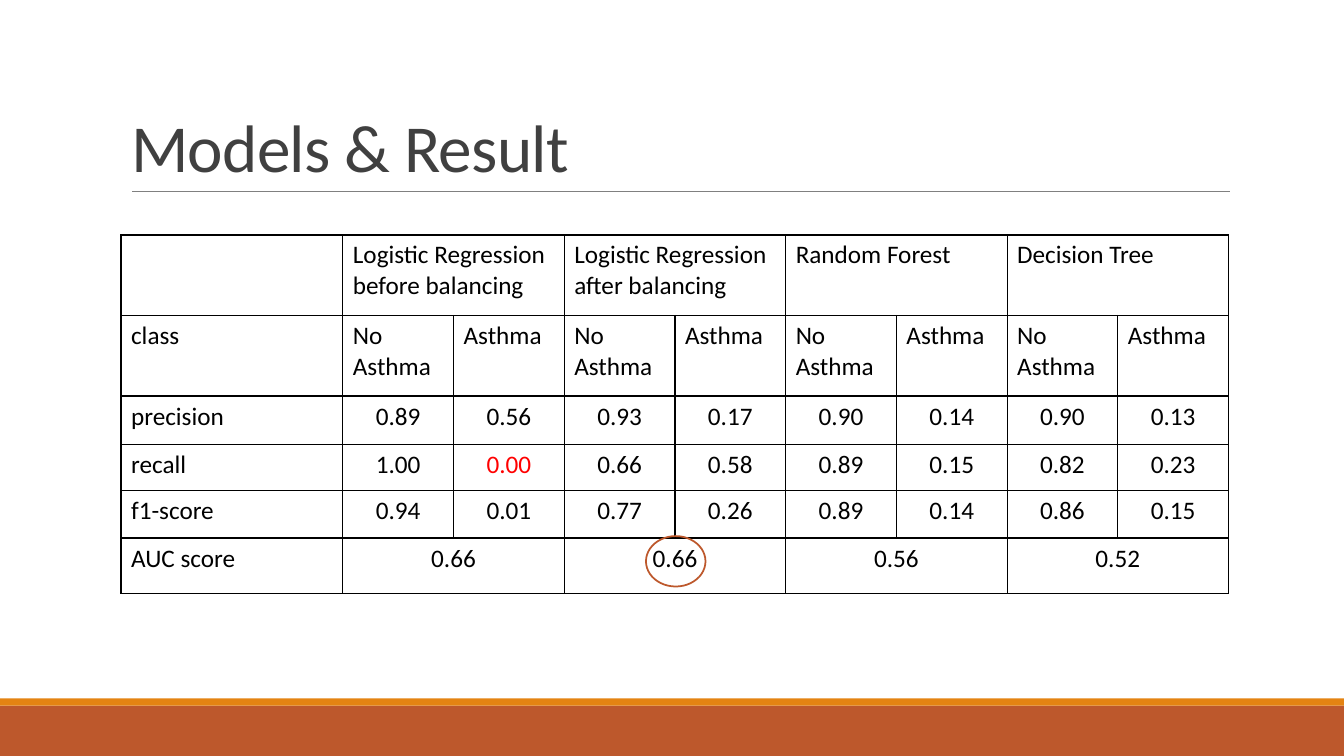
"""Build the slide that compares four models by their scores."""
import pptx
import pptx.dml.color
import pptx.enum.shapes
import pptx.enum.text
import pptx.oxml
import pptx.oxml.ns
import pptx.util
from pptx.util import Cm, Pt

HUES = {"rust": "BD582C", "gold": "E48312", "rule": "808080",
        "title": "404040", "ink": "000000", "alert": "FF0000"}
FONT = "Calibri"
NS = pptx.oxml.ns.nsdecls("a")
KIND = pptx.enum.shapes.MSO_SHAPE
ALIGN = pptx.enum.text.PP_ALIGN


def color(name):
    return pptx.dml.color.RGBColor.from_string(HUES[name])


def style(run, size, name):
    run.font.name = FONT
    run.font.size = Pt(size)
    run.font.color.rgb = color(name)


deck = pptx.Presentation()
deck.slide_width = Cm(33.87)
deck.slide_height = Cm(19.05)
slide = deck.slides.add_slide(deck.slide_layouts[5])
shapes = slide.shapes

for top, height, name in ((17.78, 1.27, "rust"), (17.6, 0.18, "gold")):
    band = shapes.add_shape(KIND.RECTANGLE, 0, Cm(top), deck.slide_width, Cm(height))
    band.shadow.inherit = False
    band.fill.solid()
    band.fill.fore_color.rgb = color(name)
    band.line.fill.background()

rule = shapes.add_connector(pptx.enum.shapes.MSO_CONNECTOR.STRAIGHT,
                            Cm(3.33), Cm(4.83), Cm(31), Cm(4.83))
rule.line.color.rgb = color("rule")
rule.line.width = Pt(0.5)
rule._element.spPr.append(pptx.oxml.parse_xml(f"<a:effectLst {NS}/>"))

title = shapes.title
title.left, title.top, title.width, title.height = Cm(3.05), Cm(0.79), Cm(27.94), Cm(4.04)
frame = title.text_frame
frame.text = "Models & Result"
frame.vertical_anchor = pptx.enum.text.MSO_ANCHOR.BOTTOM
head = frame.paragraphs[0]
head.alignment = ALIGN.LEFT
head.line_spacing = 0.85
style(head.runs[0], 48, "title")
head.runs[0].font._element.set("spc", "-50")

models = ["Logistic Regression before balancing", "Logistic Regression after balancing",
          "Random Forest", "Decision Tree"]
scores = ["0.66", "0.66", "0.56", "0.52"]
rows = [
    [""] + [text for model in models for text in (model, "")],
    ["class"] + ["No Asthma", "Asthma"] * len(models),
    ["precision", "0.89", "0.56", "0.93", "0.17", "0.90", "0.14", "0.90", "0.13"],
    ["recall", "1.00", "0.00", "0.66", "0.58", "0.89", "0.15", "0.82", "0.23"],
    ["f1-score", "0.94", "0.01", "0.77", "0.26", "0.89", "0.14", "0.86", "0.15"],
    ["AUC score"] + [text for score in scores for text in (score, "")],
]
widths = [5.59] + [2.79] * 8
heights = [2.03, 2.03, 1.22, 1.17, 1.19, 1.4]

grid = shapes.add_table(len(rows), len(widths), Cm(3.05), Cm(5.92),
                        Cm(sum(widths)), Cm(sum(heights))).table
grid.first_row = False
grid.horz_banding = False
for col, width in zip(grid.columns, widths):
    col.width = Cm(width)
for row, height in zip(grid.rows, heights):
    row.height = Cm(height)

for r, texts in enumerate(rows):
    for c, text in enumerate(texts):
        cell = grid.cell(r, c)
        cell.fill.background()
        props = cell._tc.get_or_add_tcPr()
        for i, side in enumerate(("lnL", "lnR", "lnT", "lnB")):
            props.insert(i, pptx.oxml.parse_xml(
                f'<a:{side} {NS} w="12700"><a:solidFill>'
                f'<a:srgbClr val="{HUES["ink"]}"/></a:solidFill></a:{side}>'))
        if text:
            para = cell.text_frame.paragraphs[0]
            para.text = text
            para.alignment = ALIGN.CENTER if r > 1 and c > 0 else ALIGN.LEFT
            style(para.runs[0], 18, "alert" if text == "0.00" else "ink")

for r in (0, len(rows) - 1):
    for c in range(1, len(widths), 2):
        grid.cell(r, c).merge(grid.cell(r, c + 1))

ring = shapes.add_shape(KIND.OVAL, Cm(16.28), Cm(13.51), Cm(1.5), Cm(1.27))
ring.shadow.inherit = False
ring.fill.background()
ring.line.color.rgb = color("rust")
ring.line.width = Pt(1.25)

deck.save("out.pptx")
